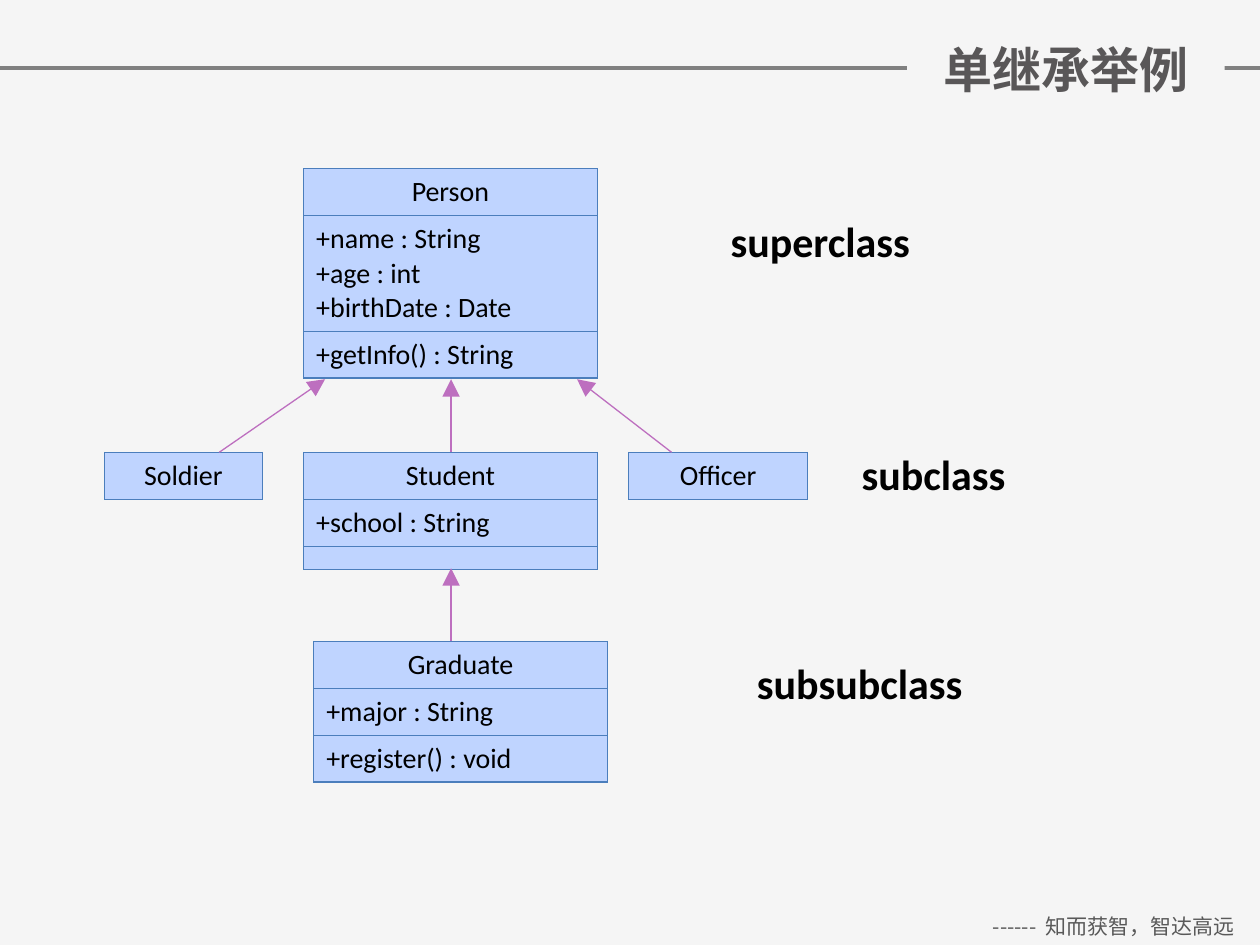
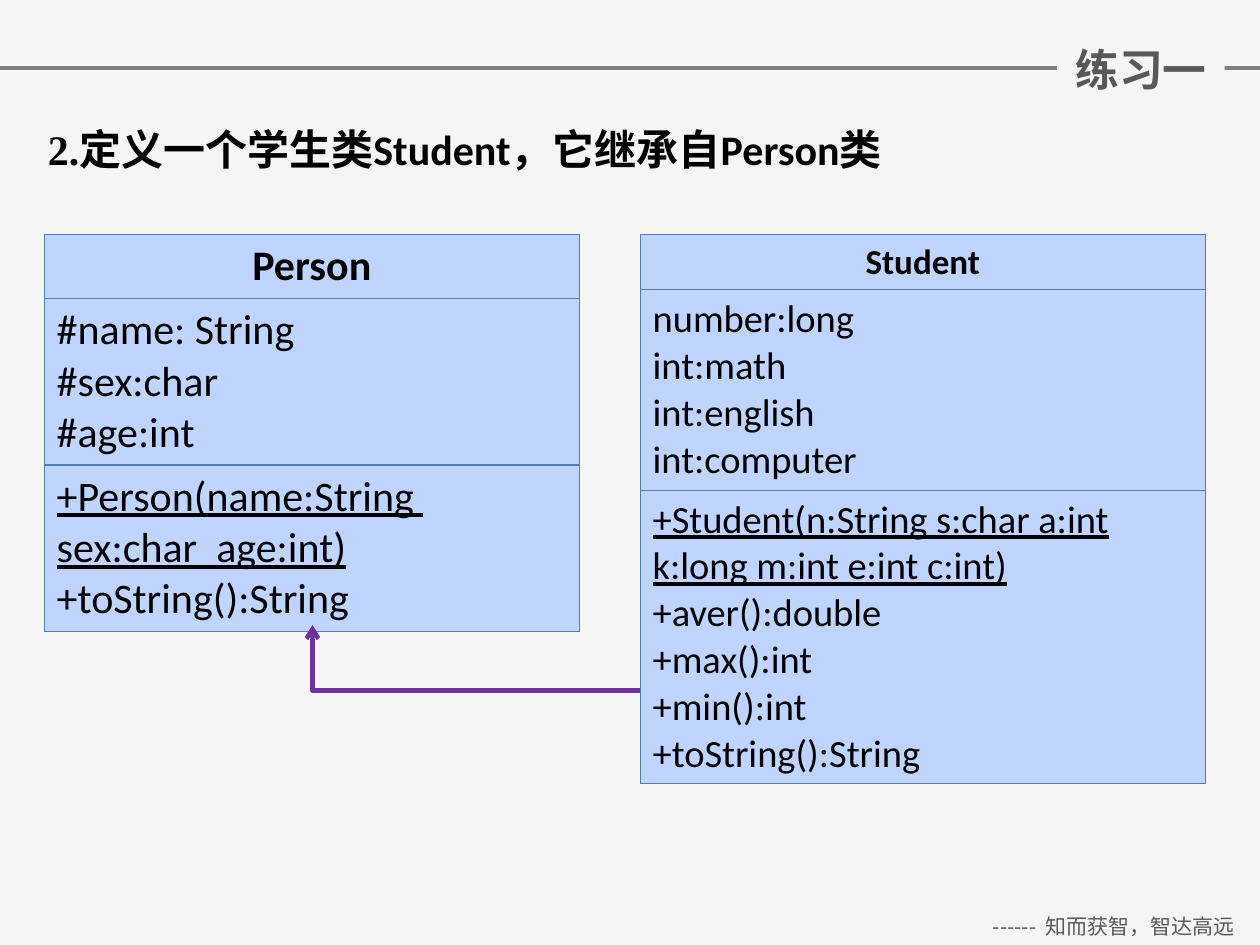
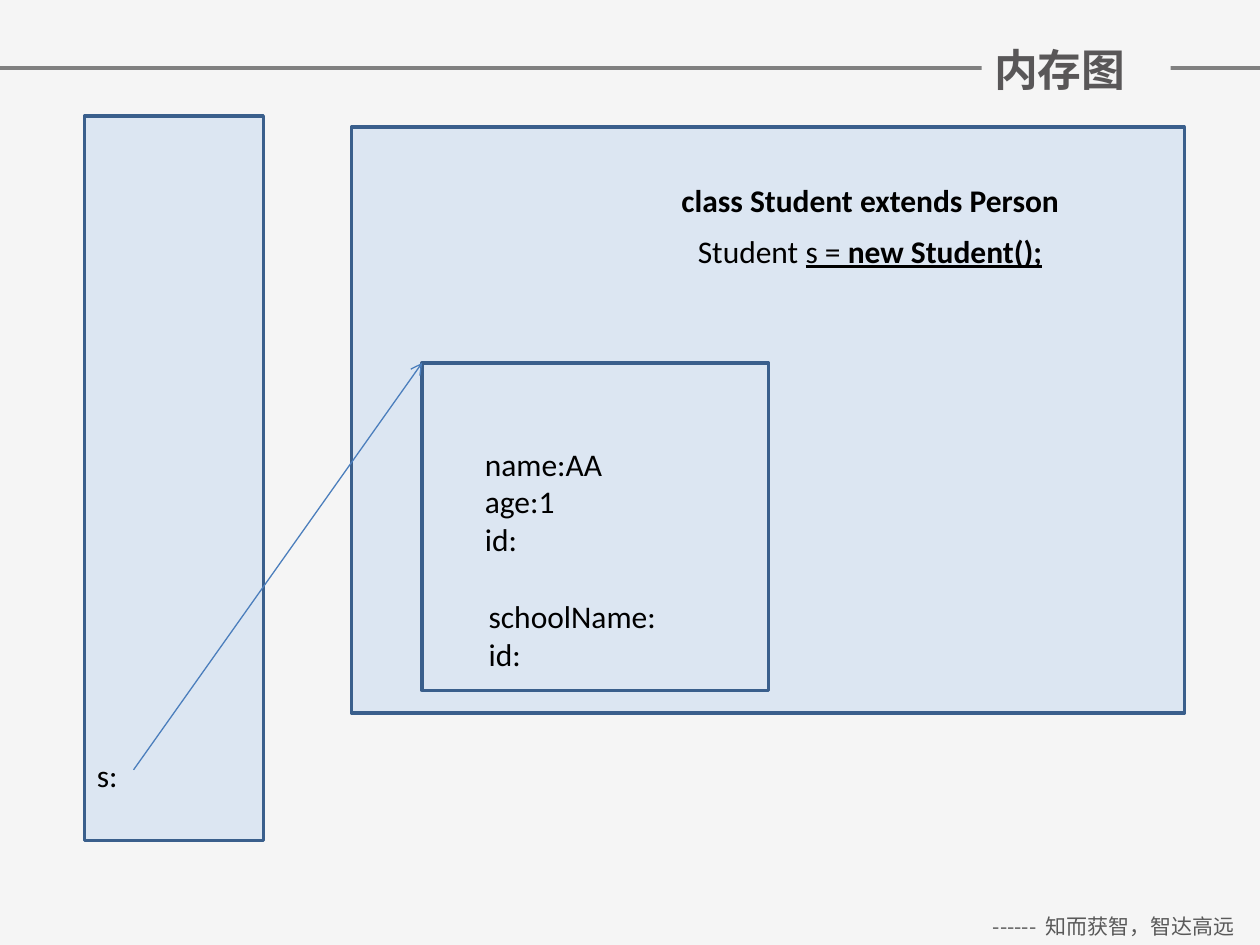
from lxml import etree
from pptx import Presentation
from pptx.dml.color import RGBColor
from pptx.enum.shapes import MSO_CONNECTOR, MSO_SHAPE
from pptx.enum.text import MSO_ANCHOR, MSO_AUTO_SIZE, PP_ALIGN
from pptx.oxml.ns import qn
from pptx.util import Inches, Pt

STRAIGHT = MSO_CONNECTOR.STRAIGHT
RECTANGLE = MSO_SHAPE.RECTANGLE
MIDDLE, TOP = MSO_ANCHOR.MIDDLE, MSO_ANCHOR.TOP
NO_AUTOFIT = MSO_AUTO_SIZE.NONE
LEFT, CENTER = PP_ALIGN.LEFT, PP_ALIGN.CENTER

COLORS = {
    "background": "F5F5F5",
    "rule": "808080",
    "footer": "595959",
    "title": "595758",
    "text": "000000",
    "class_fill": "BFD4FF",
    "class_border": "4B7EBC",
    "inherit": "BD6FBF",
    "inherit_bold": "7030A0",
    "memory_fill": "DCE6F2",
    "memory_border": "3A5F8C",
}
CJK_FONT = "Noto Sans CJK SC"
BASE = {"name": "Calibri", "size": Pt(16), "bold": False, "underline": False}
BOLD = {"bold": True}
UNDERLINE = {"underline": True}
LABEL = {"size": Pt(24), "bold": True}
CODE = {"size": Pt(18)}
LINE_FACTOR = 1.22 / 72  # inches of line height per point
CELL_PADDING = 0.1


def rgb(key):
    return RGBColor.from_string(COLORS[key])


# Text
def add_run(paragraph, text, formats, color="text"):
    run = paragraph.add_run()
    run.text = text
    for attribute, value in {**BASE, **formats}.items():
        setattr(run.font, attribute, value)
    run.font.color.rgb = rgb(color)
    east_asian = etree.SubElement(run._r.get_or_add_rPr(), qn("a:ea"))
    east_asian.set("typeface", CJK_FONT)


def fill_text(frame, lines, formats, align=LEFT, color="text"):
    """Each line is a string or a list of (text, formats) runs."""
    for index, line in enumerate(lines):
        paragraph = frame.add_paragraph() if index else frame.paragraphs[0]
        paragraph.alignment = align
        paragraph.space_before = Pt(0)
        runs = [(line, {})] if isinstance(line, str) else line
        for text, extra in runs:
            add_run(paragraph, text, {**formats, **extra}, color)


def place(shape, box):
    for side, value in zip(("left", "top", "width", "height"), box):
        setattr(shape, side, Inches(value))


def add_text(slide, box, lines, formats, wrap=True, **options):
    text_box = slide.shapes.add_textbox(*map(Inches, box))
    text_box.text_frame.word_wrap = wrap
    fill_text(text_box.text_frame, lines, formats, **options)
    return text_box


def set_title(slide, box, text, size, align=CENTER):
    title = slide.shapes.title
    place(title, box)
    title.fill.solid()
    title.fill.fore_color.rgb = rgb("background")
    frame = title.text_frame
    frame.auto_size = NO_AUTOFIT
    frame.vertical_anchor = MIDDLE
    fill_text(frame, [text], {"name": CJK_FONT, "size": Pt(size), "bold": True},
              align, "title")


# Lines and boxes
def add_line(slide, start, end, color, width, head=None, head_size="med"):
    line = slide.shapes.add_connector(STRAIGHT, *map(Inches, (*start, *end)))
    line.line.color.rgb = rgb(color)
    line.line.width = Pt(width)
    properties = line.element.spPr
    if head:
        tail = etree.SubElement(properties.find(qn("a:ln")), qn("a:tailEnd"))
        for key, value in (("type", head), ("w", head_size), ("len", head_size)):
            tail.set(key, value)
    etree.SubElement(properties, qn("a:effectLst"))
    return line


def add_elbow(slide, corner, opposite, color, width):
    """Run left from the opposite point, then up to the corner."""
    elbow = add_line(slide, corner, opposite, color, width, "arrow")
    elbow.element.spPr.find(qn("a:prstGeom")).set("prst", "bentConnector2")
    elbow.element.spPr.find(qn("a:xfrm")).set("rot", "10800000")


def add_memory_area(slide, box):
    area = slide.shapes.add_shape(RECTANGLE, *map(Inches, box))
    area.shadow.inherit = False
    area.fill.solid()
    area.fill.fore_color.rgb = rgb("memory_fill")
    area.line.color.rgb = rgb("memory_border")
    area.line.width = Pt(2)


# Class diagrams
def add_borders(cell):
    properties = cell._tc.get_or_add_tcPr()
    for index, side in enumerate(("lnL", "lnR", "lnT", "lnB")):
        border = etree.Element(qn(f"a:{side}"), w=str(Pt(0.75)))
        fill = etree.SubElement(border, qn("a:solidFill"))
        etree.SubElement(fill, qn("a:srgbClr"), val=COLORS["class_border"])
        properties.insert(index, border)


def add_class(slide, left, top, width, name, sections=(), size=16,
              name_formats=None):
    """Draw a class with its name and one row per section of members."""
    name_formats = {"size": Pt(size), **(name_formats or {})}
    rows = [[name], *sections]
    frame = slide.shapes.add_table(len(rows), 1, Inches(left), Inches(top),
                                   Inches(width), Inches(0.1 * len(rows)))
    table = frame.table
    table.first_row = table.horz_banding = False
    total = 0
    for index, lines in enumerate(rows):
        formats = {"size": Pt(size)} if index else name_formats
        cell = table.cell(index, 0)
        cell.vertical_anchor = MIDDLE
        cell.fill.solid()
        cell.fill.fore_color.rgb = rgb("class_fill")
        add_borders(cell)
        fill_text(cell.text_frame, lines, formats, LEFT if index else CENTER)
        text_height = len(lines) * formats["size"].pt * LINE_FACTOR
        if not lines:  # an empty section stays a thin strip
            etree.SubElement(cell.text_frame.paragraphs[0]._p,
                             qn("a:endParaRPr"), sz="500")
            text_height = 5 * LINE_FACTOR
        table.rows[index].height = Inches(round(text_height + CELL_PADDING, 2))
        total += table.rows[index].height
    frame.height = total


# Shared master
def move_to_master(master, shape):
    used = [int(value) for value in master.element.xpath(".//p:cNvPr/@id")]
    shape.element.xpath(".//p:cNvPr")[0].set("id", str(max(used) + 1))
    master.shapes.element.append(shape.element)


def dress_master(master, slide):
    master.background.fill.solid()
    master.background.fill.fore_color.rgb = rgb("background")
    rule = add_line(slide, (0, 0.54), (10, 0.54), "rule", 2)
    motto = add_text(slide, (7.68, 7.2, 2.32, 0.3), ["------  知而获智，智达高远"],
                     {"name": CJK_FONT, "size": Pt(12)},
                     align=CENTER, color="footer")
    for shape in (rule, motto):
        move_to_master(master, shape)


# Slides
def build_inheritance(slide):
    set_title(slide, (7.2, 0.26, 2.52, 0.57), "单继承举例", 28)
    classes = [
        (2.41, 1.34, 2.33, "Person",
         [["+name : String", "+age : int", "+birthDate : Date"],
          ["+getInfo() : String"]]),
        (2.41, 3.59, 2.33, "Student", [["+school : String"], []]),
        (0.83, 3.59, 1.25, "Soldier"),
        (4.99, 3.59, 1.42, "Officer"),
        (2.49, 5.09, 2.33, "Graduate",
         [["+major : String"], ["+register() : void"]]),
    ]
    for diagram in classes:
        add_class(slide, *diagram)
    for child_x, parent_x, child_top in ((3.58, 3.58, 3.59), (5.33, 4.58, 3.59),
                                         (1.74, 2.58, 3.59), (3.58, 3.58, 5.09)):
        add_line(slide, (child_x, child_top), (parent_x, child_top - 0.58),
                 "inherit", 0.75, "triangle", "lg")
    for left, top, width, level in ((5.7, 1.66, 2.08, "superclass"),
                                    (6.74, 3.51, 1.56, "subclass"),
                                    (5.91, 5.17, 2, "subsubclass")):
        add_text(slide, (left, top, width, 0.5), [level], LABEL)


def build_exercise(slide):
    set_title(slide, (8.39, 0.26, 1.33, 0.57), "练习一", 25)
    task = slide.placeholders[1]
    place(task, (0.28, 0.93, 9.45, 6.26))
    frame = task.text_frame
    frame.auto_size = NO_AUTOFIT
    frame.vertical_anchor = TOP
    properties = frame.paragraphs[0]._p.get_or_add_pPr()
    properties.set("marL", str(Inches(0.38)))
    properties.set("indent", str(Inches(-0.38)))
    etree.SubElement(properties, qn("a:buNone"))
    fill_text(frame, [[("2.", {"name": "Times New Roman"}),
                       ("定义一个学生类Student，它继承自Person类", {})]], LABEL)

    add_class(slide, 0.35, 1.86, 4.25, "Person", [
        ["#name: String", "#sex:char", "#age:int"],
        [[("+Person(name:String  sex:char  age:int)", UNDERLINE)],
         "+toString():String"],
    ], 24, BOLD)
    add_class(slide, 5.08, 1.86, 4.49, "Student", [
        ["number:long", "int:math", "int:english", "int:computer"],
        [[("+Student(n:String s:char a:int k:long m:int e:int c:int)", UNDERLINE)],
         "+aver():double", "+max():int", "+min():int", "+toString():String"],
    ], 22, {"size": Pt(20), "bold": True})
    add_elbow(slide, (2.48, 4.96), (5.08, 5.48), "inherit_bold", 2.5)


def build_memory(slide):
    set_title(slide, (7.79, 0.29, 1.5, 0.52), "内存图", 25, LEFT)
    # Stack, heap and the object inside the heap
    for box in ((0.67, 0.92, 1.42, 5.75), (2.79, 1.01, 6.61, 4.65),
                (3.35, 2.88, 2.75, 2.6)):
        add_memory_area(slide, box)
    add_text(slide, (5.31, 1.39, 3.22, 0.4), ["class Student extends Person"],
             {**CODE, **BOLD}, wrap=False)
    add_text(slide, (5.44, 1.79, 2.96, 0.4),
             [[("Student ", {}), ("s = ", UNDERLINE),
               ("new Student();", {**UNDERLINE, **BOLD})]], CODE, wrap=False)
    add_text(slide, (0.67, 5.95, 1.81, 0.4), ["s:"], CODE)
    add_text(slide, (3.78, 4.69, 2.44, 0.71), ["schoolName:", "id:"], CODE)
    add_text(slide, (3.75, 3.48, 1.94, 1.01), ["name:AA", "age:1", "id:"], CODE)
    add_line(slide, (1.06, 6.11), (3.35, 2.88), "class_border", 0.75, "arrow")


def main():
    prs = Presentation()
    prs.slide_width, prs.slide_height = Inches(10), Inches(7.5)
    content_layout, title_layout = prs.slide_layouts[1], prs.slide_layouts[5]
    pages = [(title_layout, build_inheritance), (content_layout, build_exercise),
             (title_layout, build_memory)]
    for index, (layout, build) in enumerate(pages):
        slide = prs.slides.add_slide(layout)
        if index == 0:
            dress_master(prs.slide_master, slide)
        build(slide)
    prs.save("out.pptx")


if __name__ == "__main__":
    main()
